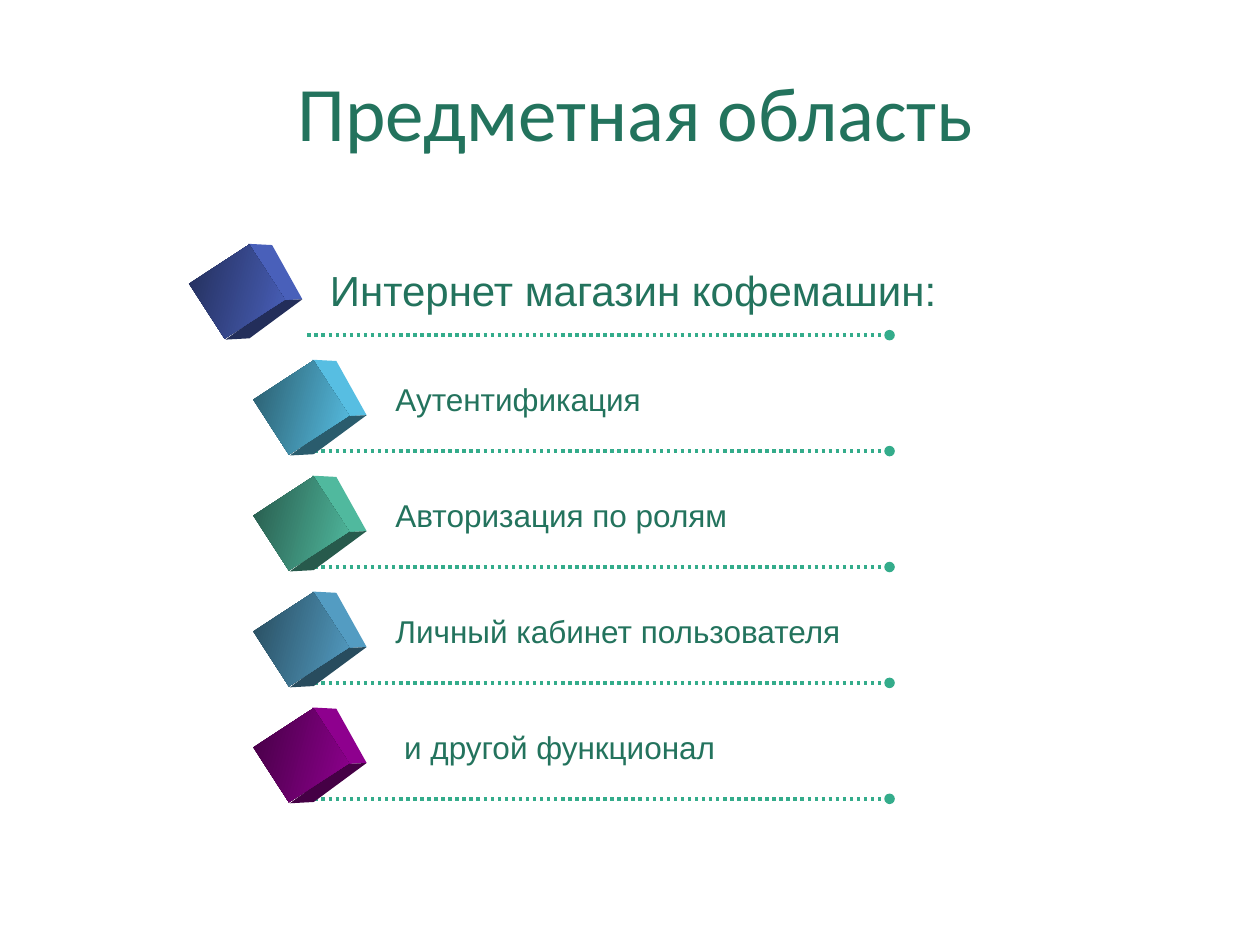
import pptx
import pptx.util
import pptx.dml.color
import pptx.enum.dml
import pptx.enum.shapes
import pptx.enum.text
import pptx.oxml.ns
import lxml.etree

RGBColor = pptx.dml.color.RGBColor
Inches = pptx.util.Inches
TEXT_GREEN = RGBColor(0x23, 0x73, 0x5D)
LINE_GREEN = RGBColor(0x34, 0xAC, 0x8B)

# Rows: label, text size, cube left, text left, cube colour
ROWS = [
    ("Интернет магазин кофемашин:", 24, 1.62, 2.52, RGBColor(0x4E, 0x67, 0xC8)),
    ("Аутентификация", 18, 2.13, 3.04, RGBColor(0x5E, 0xCC, 0xF3)),
    ("Авторизация по ролям", 18, 2.13, 3.04, RGBColor(0x56, 0xC7, 0xAA)),
    ("Личный кабинет пользователя", 18, 2.13, 3.04, RGBColor(0x59, 0xA8, 0xD1)),
    (" и другой функционал", 18, 2.13, 3.04, RGBColor(0x99, 0x00, 0x99)),
]
FIRST_LINE, ROW_STEP = 2.66, 0.92
LINE_LEFT, LINE_RIGHT = 2.44, 7.06
CUBE_WIDTH, CUBE_HEIGHT = 0.52, 0.57

# Side faces of a cube: shade, and corners in hundredths of an inch from its centre
SIDES = [
    (0.93, [(9, -38), (28, -37), (52, 6), (34, 7)]),
    (0.45, [(-9, 38), (34, 7), (52, 6), (10, 37)]),
]


def shade(colour, share):
    return RGBColor(*(round(channel * share) for channel in colour))


def write(frame, text, size, font):
    para = frame.paragraphs[0]
    span = para.add_run()
    span.text = text
    formats = {"size": pptx.util.Pt(size), "name": font}
    for name, value in formats.items():
        setattr(span.font, name, value)
    span.font.color.rgb = TEXT_GREEN
    return para


deck = pptx.Presentation()
deck.slide_width, deck.slide_height = Inches(10), Inches(7.5)
page = deck.slides.add_slide(deck.slide_layouts[5])

# Title
title = page.shapes.title
place = {"left": 0.2, "top": 0.21, "width": 9.69, "height": 1.34}
for name, value in place.items():
    setattr(title, name, Inches(value))
title.text_frame.vertical_anchor = pptx.enum.text.MSO_ANCHOR.MIDDLE
para = write(title.text_frame, "Предметная область", 44, "Calibri")
para.alignment = pptx.enum.text.PP_ALIGN.CENTER

for row, (label, size, cube_left, text_left, colour) in enumerate(ROWS):
    line_top = FIRST_LINE + row * ROW_STEP
    cube_top = line_top - 0.63

    # Dotted rule with a round end
    rule = page.shapes.add_connector(
        pptx.enum.shapes.MSO_CONNECTOR.STRAIGHT,
        Inches(LINE_LEFT), Inches(line_top), Inches(LINE_RIGHT), Inches(line_top))
    rule.line.color.rgb = LINE_GREEN
    rule.line.width = pptx.util.Pt(2)
    rule.line.dash_style = pptx.enum.dml.MSO_LINE.ROUND_DOT
    outline = rule.line._get_or_add_ln()
    lxml.etree.SubElement(outline, pptx.oxml.ns.qn("a:tailEnd"), type="oval")
    lxml.etree.SubElement(rule._element.spPr, pptx.oxml.ns.qn("a:effectLst"))

    # Cube sides
    centre_x = Inches(cube_left + CUBE_WIDTH / 2)
    centre_y = Inches(cube_top + CUBE_HEIGHT / 2)
    for share, corners in SIDES:
        builder = page.shapes.build_freeform(*corners[0], scale=Inches(0.01))
        builder.add_line_segments(corners[1:], close=True)
        side = builder.convert_to_shape(centre_x, centre_y)
        side.shadow.inherit = False
        side.fill.solid()
        side.fill.fore_color.rgb = shade(colour, share)
        side.line.fill.background()

    # Cube front
    front = page.shapes.add_shape(
        pptx.enum.shapes.MSO_SHAPE.RECTANGLE, Inches(cube_left), Inches(cube_top),
        Inches(CUBE_WIDTH), Inches(CUBE_HEIGHT))
    front.rotation = 57
    front.shadow.inherit = False
    front.line.fill.background()
    front.fill.gradient()
    front.fill.gradient_angle = 42
    for stop, share in zip(front.fill.gradient_stops, (0.45, 0.93)):
        stop.color.rgb = shade(colour, share)

    # Label
    box = page.shapes.add_textbox(
        Inches(text_left), Inches(line_top - 0.61),
        Inches(5.18 if size == 24 else 3.77), Inches(0.5 if size == 24 else 0.4))
    box.text_frame.word_wrap = True
    write(box.text_frame, label, size, "Arial")

deck.save("out.pptx")
